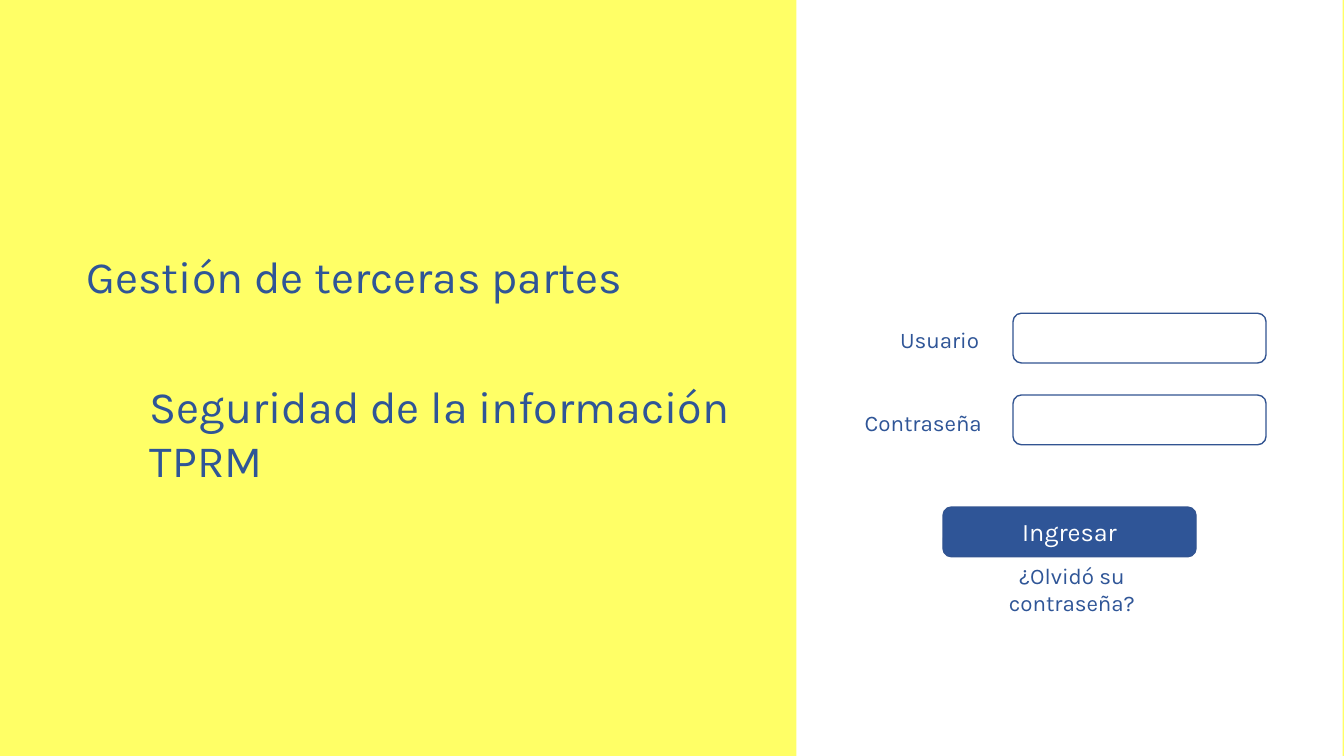
import pptx
import pptx.util
import pptx.dml.color
import pptx.enum.shapes
import pptx.enum.text

Pt = pptx.util.Pt
RGBColor = pptx.dml.color.RGBColor
Shape = pptx.enum.shapes.MSO_SHAPE
Align = pptx.enum.text.PP_ALIGN
Anchor = pptx.enum.text.MSO_ANCHOR

YELLOW = RGBColor(0xFF, 0xFF, 0x66)
WHITE = RGBColor(0xFF, 0xFF, 0xFF)
BLUE = RGBColor(0x2F, 0x55, 0x97)
BORDER = RGBColor(0x32, 0x54, 0x91)

FIELD_WIDTH, FIELD_HEIGHT = 180.7, 35.5

deck = pptx.Presentation()
deck.slide_width, deck.slide_height = Pt(960), Pt(540)
page = deck.slides.add_slide(deck.slide_layouts[6])
page.background.fill.solid()
page.background.fill.fore_color.rgb = YELLOW


def write(box, text, size=16, color=BLUE, align=Align.LEFT, anchor=Anchor.TOP):
    frame = box.text_frame
    frame.word_wrap = True
    frame.vertical_anchor = anchor
    para = frame.paragraphs[0]
    para.alignment = align
    span = para.add_run()
    span.text = text
    span.font.name = "Karla"
    span.font.size = Pt(size)
    span.font.color.rgb = color


def add_block(kind, left, top, width, height, fill, line=None):
    block = page.shapes.add_shape(kind, Pt(left), Pt(top), Pt(width), Pt(height))
    block.shadow.inherit = False
    block.fill.solid()
    block.fill.fore_color.rgb = fill
    if line is None:
        block.line.fill.background()
    else:
        block.line.color.rgb = line
        block.line.width = Pt(1)
    return block


add_block(Shape.RECTANGLE, 568.8, 0, 390.2, 540, WHITE)

for field_top in (223.8, 282.2):
    add_block(Shape.ROUNDED_RECTANGLE, 723.6, field_top, FIELD_WIDTH, FIELD_HEIGHT, WHITE, BORDER)

for text, left, top, width, height, size, align in (
    ("Gestión de terceras partes", 54.7, 174.2, 438.5, 46, 32, Align.LEFT),
    ("Seguridad de la información TPRM", 100, 267.1, 438.5, 85, 32, Align.LEFT),
    ("Usuario", 635.8, 229.7, 90, 26.6, 16, Align.LEFT),
    ("Contraseña", 610.6, 288.7, 113, 26.6, 16, Align.LEFT),
    ("¿Olvidó su contraseña?", 676.8, 397.8, 177.8, 26.6, 16, Align.CENTER),
):
    label = page.shapes.add_textbox(Pt(left), Pt(top), Pt(width), Pt(height))
    write(label, text, size=size, align=align)

login_button = add_block(
    Shape.ROUNDED_RECTANGLE, 673.6, 362.2, FIELD_WIDTH, FIELD_HEIGHT, BLUE, BORDER
)
write(login_button, "Ingresar", size=18, color=WHITE, align=Align.CENTER, anchor=Anchor.MIDDLE)

deck.save("out.pptx")
